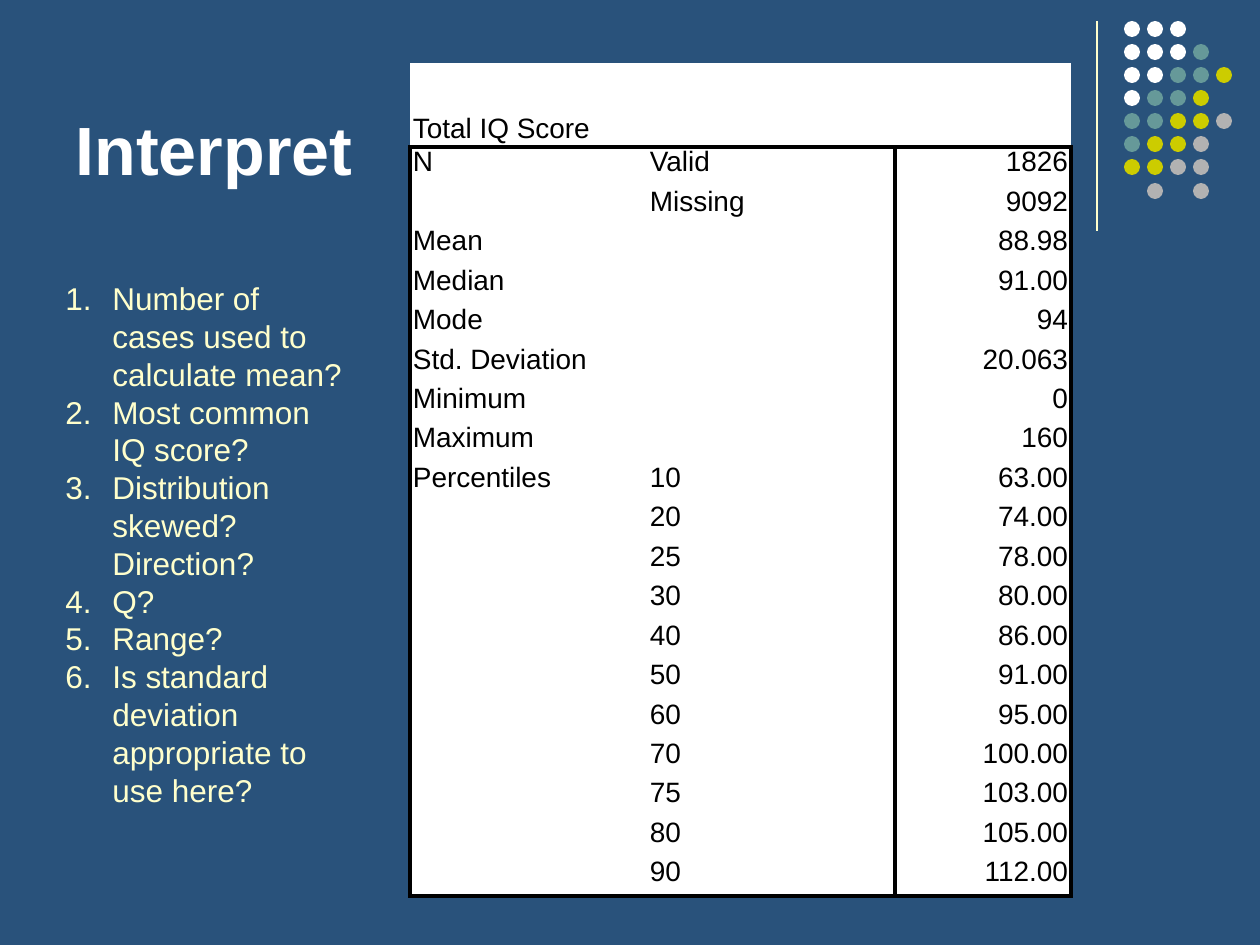
from pptx import Presentation
from pptx.dml.color import RGBColor
from pptx.enum.shapes import MSO_CONNECTOR, MSO_SHAPE
from pptx.enum.text import MSO_ANCHOR, PP_ALIGN
from pptx.oxml.ns import qn
from pptx.util import Pt
from lxml import etree

LINE, OVAL = MSO_CONNECTOR.STRAIGHT, MSO_SHAPE.OVAL
TOP, BOTTOM = MSO_ANCHOR.TOP, MSO_ANCHOR.BOTTOM
LEFT, RIGHT = PP_ALIGN.LEFT, PP_ALIGN.RIGHT
SCALE = 914400 / 126
CREAM = "FFFFCC"


def px(*vals):
    """Turn pixel lengths into a list of EMU."""
    return [round(v * SCALE) for v in vals]


def color(code):
    """Turn a hex string into a colour."""
    return RGBColor.from_string(code)


prs = Presentation()
prs.slide_width, prs.slide_height = px(1260, 945)
slide = prs.slides.add_slide(prs.slide_layouts[5])
slide.background.fill.solid()
slide.background.fill.fore_color.rgb = color("29527B")
shapes = slide.shapes

# Rule and dot pattern in the corner
x, top, end = px(1097, 21, 231)
rule = shapes.add_connector(LINE, x, top, x, end)
rule.line.color.rgb = color(CREAM)
rule.line.width = Pt(0.75)
etree.SubElement(rule._element.spPr, qn("a:effectLst"))

tints = {"W": "FFFFFF", "T": "669999", "Y": "CCCC00", "G": "B2B2B2"}
dots = ["WWW", "WWWT", "WWTTY", "WTTY", "TTYYG", "TYYG", "YYGG", " G G"]
for row, line in enumerate(dots):
    for col, key in enumerate(line):
        if key in tints:
            spot = px(1124 + 23 * col, 21 + 162 * row // 7, 16, 16)
            dot = shapes.add_shape(OVAL, *spot)
            dot.shadow.inherit = False
            dot.fill.solid()
            dot.fill.fore_color.rgb = color(tints[key])
            dot.line.fill.background()

# Title
title = shapes.title
title.left, title.top, title.width, title.height = px(63, 16, 1040, 179)
frame = title.text_frame
frame.text = "Interpret "
frame.vertical_anchor = BOTTOM
frame.paragraphs[0].alignment = LEFT
font = frame.paragraphs[0].runs[0].font
font.name, font.size, font.bold = "Arial", Pt(39), True
font.color.rgb = color("FFFFFF")

# Statistics table
stats = [
    ("", "", ""), ("Total IQ Score ", "", ""),
    ("N", "Valid", "1826"), ("", "Missing", "9092"),
    ("Mean", "", "88.98"), ("Median", "", "91.00"), ("Mode", "", "94"),
    ("Std. Deviation", "", "20.063"),
    ("Minimum", "", "0"), ("Maximum", "", "160"),
    ("Percentiles", "10", "63.00"), ("", "20", "74.00"),
    ("", "25", "78.00"), ("", "30", "80.00"), ("", "40", "86.00"),
    ("", "50", "91.00"), ("", "60", "95.00"), ("", "70", "100.00"),
    ("", "75", "103.00"), ("", "80", "105.00"), ("", "90", "112.00"),
]
count = len(stats)
grid = shapes.add_table(count, 3, *px(410, 63, 661, 829)).table
grid.first_row = grid.horz_banding = False
for col, width in zip(grid.columns, px(237, 248, 176)):
    col.width = width
for row in grid.rows:
    row.height = px(829)[0] // count

merges = [(0, 0, 0, 2), (1, 0, 1, 2), (2, 0, 3, 0), (10, 0, 20, 0)]
merges += [(r, 0, r, 1) for r in range(4, 10)]
for r, c, last, edge in merges:
    grid.cell(r, c).merge(grid.cell(last, edge))

inset = px(3)[0]
for r, line in enumerate(stats):
    for c, words in enumerate(line):
        cell = grid.cell(r, c)
        cell.fill.solid()
        cell.fill.fore_color.rgb = color("FFFFFF")
        cell.margin_left = cell.margin_right = inset
        cell.margin_top = cell.margin_bottom = inset
        cell.vertical_anchor = BOTTOM if r == 1 else TOP
        para = cell.text_frame.paragraphs[0]
        para.text = words
        para.alignment = RIGHT if c == 2 else LEFT
        para.line_spacing = Pt(16)
        for run in para.runs:
            run.font.name, run.font.size = "Arial", Pt(16)
            run.font.color.rgb = color("000000")

        # Box around the body, with a divider before the values
        body = r >= 2
        low = r + cell.span_height - 1
        far = c + cell.span_width - 1
        sides = {
            "L": body and c in (0, 2),
            "R": body and far in (1, 2),
            "T": r == 2,
            "B": low in (1, count - 1),
        }
        props = cell._tc.get_or_add_tcPr()
        for spot, (side, shown) in enumerate(sides.items()):
            edge = etree.Element(qn("a:ln" + side), w=str(Pt(2.25)))
            if shown:
                paint = etree.SubElement(edge, qn("a:solidFill"))
                etree.SubElement(paint, qn("a:srgbClr"), val="000000")
            else:
                etree.SubElement(edge, qn("a:noFill"))
            props.insert(spot, edge)

# Numbered questions
tasks = [
    "Number of cases used to calculate mean?",
    "Most common IQ score?",
    "Distribution skewed? Direction?",
    "Q?",
    "Range?",
    "Is standard deviation appropriate to use here?",
]
frame = shapes.add_textbox(*px(53, 273, 305, 547)).text_frame
frame.word_wrap = True
frame.text = "\n".join(tasks)
indent = px(47)[0]
for para in frame.paragraphs:
    para.line_spacing = Pt(21.6)
    font = para.runs[0].font
    font.name, font.size = "Arial", Pt(18)
    font.color.rgb = color(CREAM)
    props = para._p.get_or_add_pPr()
    props.set("marL", str(indent))
    props.set("indent", str(-indent))
    etree.SubElement(props, qn("a:buFont"), typeface="Arial")
    etree.SubElement(props, qn("a:buAutoNum"), type="arabicPeriod")

prs.save("out.pptx")
